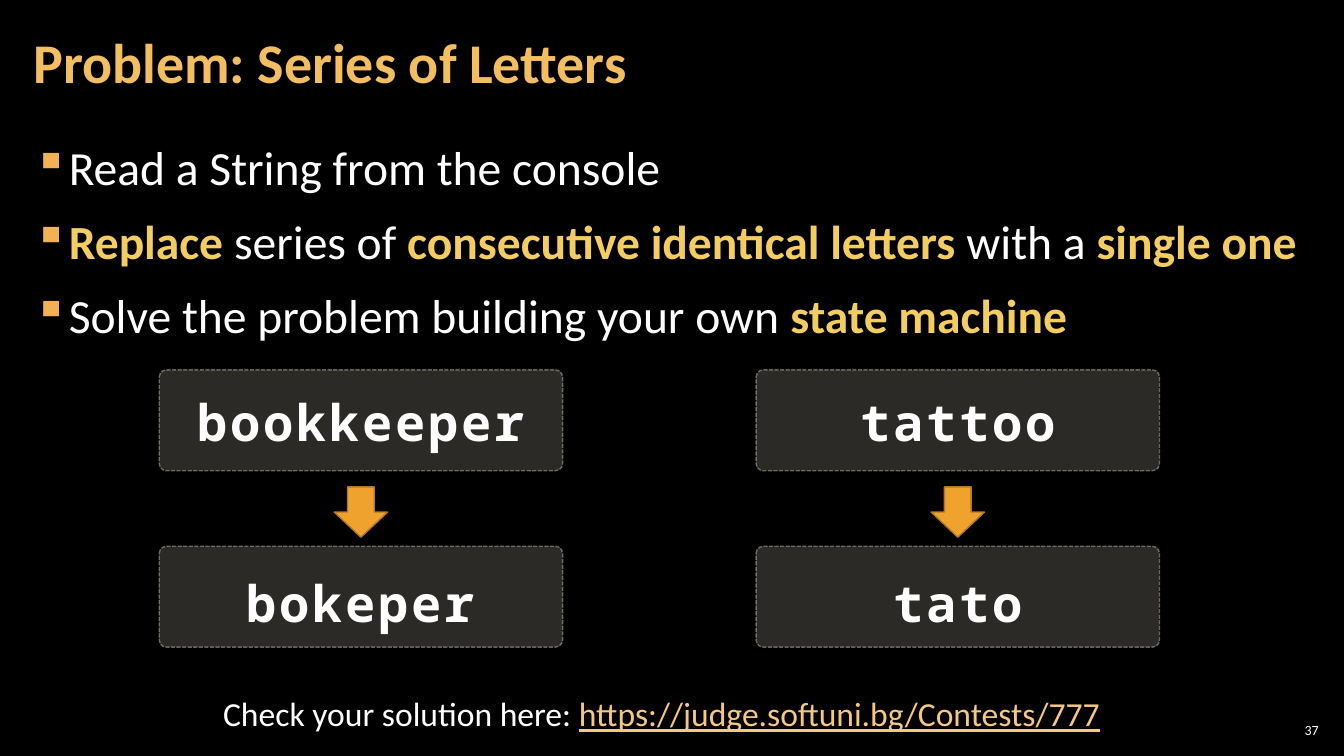
"""Build the slide that states the Series of Letters problem."""
from lxml import etree
from pptx import Presentation
from pptx.dml.color import RGBColor
from pptx.enum.dml import MSO_LINE
from pptx.enum.shapes import MSO_SHAPE
from pptx.enum.text import MSO_ANCHOR, MSO_AUTO_SIZE, PP_ALIGN
from pptx.oxml.ns import qn
from pptx.util import Inches, Pt

LEFT, CENTER, RIGHT = PP_ALIGN.LEFT, PP_ALIGN.CENTER, PP_ALIGN.RIGHT
TOP, MIDDLE = MSO_ANCHOR.TOP, MSO_ANCHOR.MIDDLE
NO_AUTOFIT = MSO_AUTO_SIZE.NONE
ROUNDED, DOWN_ARROW = MSO_SHAPE.ROUNDED_RECTANGLE, MSO_SHAPE.DOWN_ARROW
SHORT_DASH = MSO_LINE.SQUARE_DOT
WHITE, GOLD = "FFFFFF", "F3CD60"


def color(value):
    return RGBColor.from_string(value)


def write(box, paragraphs, size, font="Calibri", align=LEFT, anchor=TOP, inset=(0.1, 0.05),
          bullet=None, gap=0, line_spacing=None, tracking=0):
    frame = box.text_frame
    frame.word_wrap = True
    frame.auto_size = NO_AUTOFIT
    frame.vertical_anchor = anchor
    frame.margin_left = frame.margin_right = Inches(inset[0])
    frame.margin_top = frame.margin_bottom = Inches(inset[1])
    for index, spans in enumerate(paragraphs):
        para = frame.add_paragraph() if index else frame.paragraphs[0]
        para.alignment = align
        para.line_spacing = line_spacing
        para.space_before = Pt(gap if index else 0)
        para.space_after = Pt(gap)
        if bullet:
            properties = para._p.get_or_add_pPr()
            properties.set("marL", str(Inches(0.33)))
            properties.set("indent", str(Inches(-0.33)))
            bullet_color = etree.SubElement(properties, qn("a:buClr"))
            etree.SubElement(bullet_color, qn("a:srgbClr"), val=bullet)
            etree.SubElement(properties, qn("a:buChar"), char="▪")
        for text, text_color, bold, underline in spans:
            span = para.add_run()
            span.text = text
            span.font.size = Pt(size)
            span.font.name = font
            span.font.bold = bold
            span.font.underline = underline
            span.font.color.rgb = color(text_color)
            if tracking:
                span._r.get_or_add_rPr().set("spc", str(tracking * 100))


deck = Presentation()
deck.slide_width, deck.slide_height = Inches(13.33), Inches(7.5)
page = deck.slides.add_slide(deck.slide_layouts[5])
page.background.fill.solid()
page.background.fill.fore_color.rgb = color("000000")
shapes = page.shapes

title = shapes.title
title.left, title.top = Inches(0.21), Inches(0.04)
title.width, title.height = Inches(10.47), Inches(1.21)
write(title, [[("Problem: Series of Letters", "F3BE60", True, False)]], 40,
      anchor=MIDDLE, inset=(0.12, 0.04), line_spacing=0.9)

tasks = [
    [("Read a String from the console", False)],
    [("Replace ", True), ("series of ", False), ("consecutive identical letters ", True),
     ("with a ", False), ("single one", True)],
    [("Solve the problem building your own ", False), ("state machine", True)],
]
task_box = shapes.add_textbox(Inches(0.21), Inches(1.33), Inches(12.91), Inches(6))
write(task_box,
      [[(text, GOLD if key else WHITE, key, False) for text, key in task] for task in tasks],
      34, inset=(0.12, 0.04), bullet="F2B254", gap=6)

number_box = shapes.add_textbox(Inches(12.65), Inches(7.14), Inches(0.47), Inches(0.21))
write(number_box, [[("37", WHITE, False, False)]], 10, align=RIGHT, anchor=MIDDLE,
      inset=(0.04, 0.04))

panel_width = 4
arrow_width = 0.53
for left, source_word, result_word in [(1.58, "bookkeeper", "bokeper"), (7.5, "tattoo", "tato")]:
    for panel_top, word_top, word in [(3.67, 3.83, source_word), (5.42, 5.63, result_word)]:
        panel = shapes.add_shape(ROUNDED, Inches(left), Inches(panel_top),
                                 Inches(panel_width), Inches(1))
        panel.adjustments[0] = 0.07
        panel.shadow.inherit = False
        panel.fill.solid()
        panel.fill.fore_color.rgb = color("D9D5C7")
        panel.line.color.rgb = color("C7BFAC")
        panel.line.width = Pt(1)
        panel.line.dash_style = SHORT_DASH
        paints = panel._element.spPr.iter(qn("a:srgbClr"))
        for paint, opacity in zip(list(paints), (20, 50)):
            etree.SubElement(paint, qn("a:alpha"), val=str(opacity * 1000))

        word_box = shapes.add_textbox(Inches(left), Inches(word_top),
                                      Inches(panel_width), Inches(0.71))
        write(word_box, [[(word, WHITE, True, False)]], 36, font="Noto Sans Mono",
              align=CENTER, tracking=2)

    arrow = shapes.add_shape(DOWN_ARROW, Inches(left + (panel_width - arrow_width) / 2),
                             Inches(4.83), Inches(arrow_width), Inches(0.5))
    arrow.shadow.inherit = False
    arrow.fill.solid()
    arrow.fill.fore_color.rgb = color("F0A22E")
    arrow.line.color.rgb = color("B27822")
    arrow.line.width = Pt(1)

footer = shapes.add_textbox(Inches(0), Inches(6.83), Inches(13.12), Inches(0.5))
write(footer, [[("Check your solution here: ", WHITE, False, False),
                ("https://judge.softuni.bg/Contests/777", "F6C781", False, True)]],
      24, align=CENTER)

deck.save("out.pptx")
